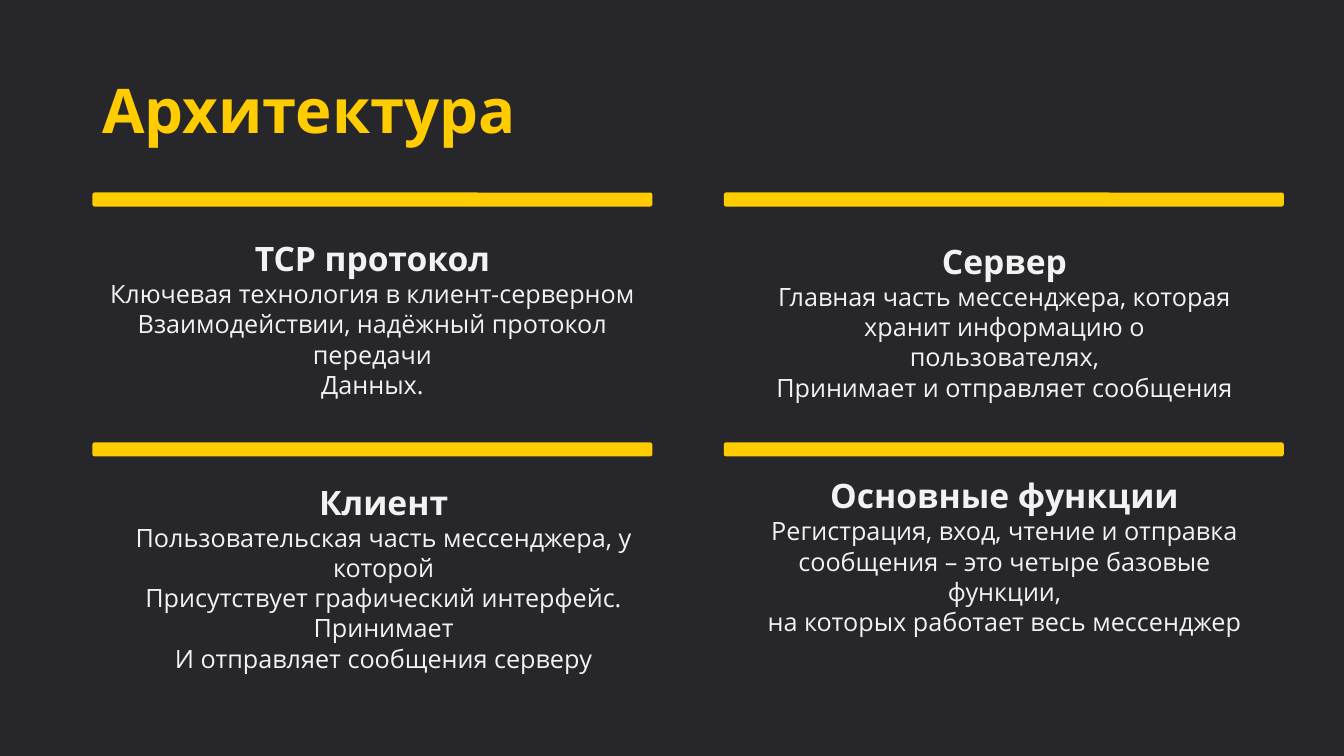
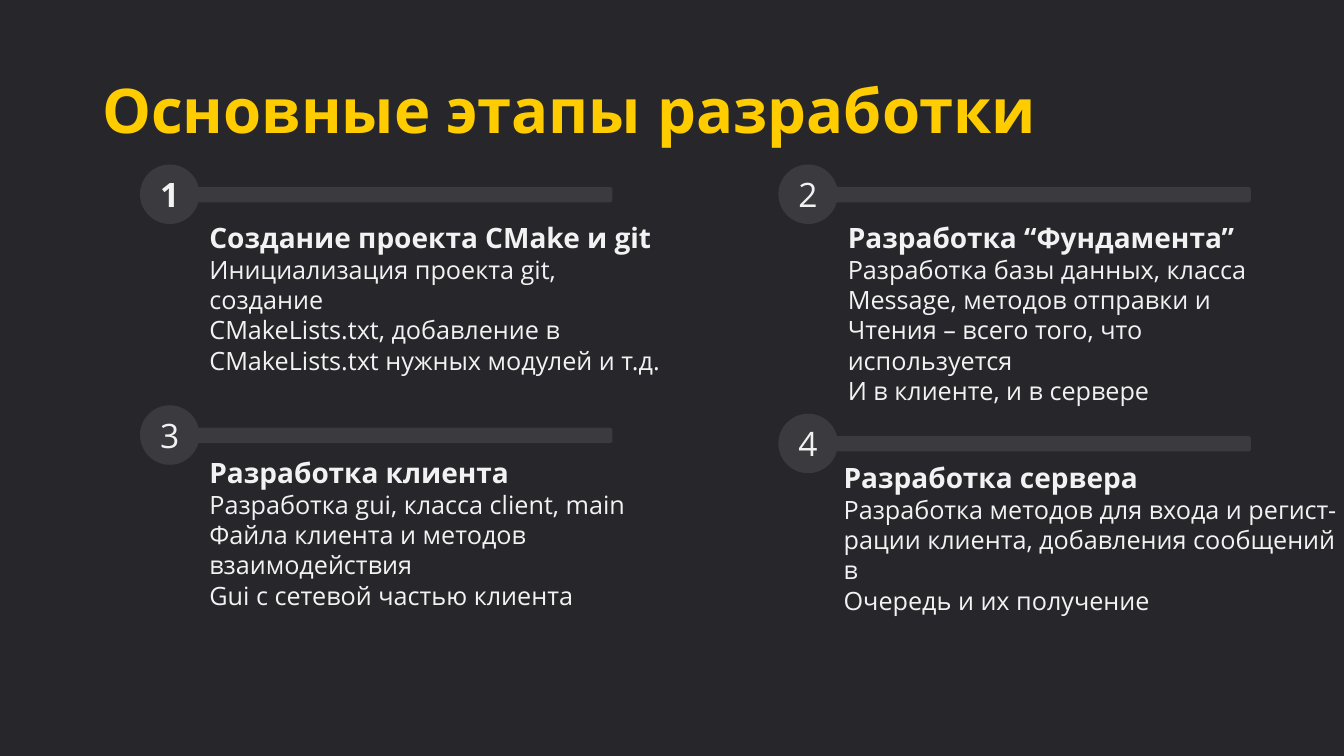
"""Builds two dark slides on the architecture and the development stages of a messenger."""
from pptx import Presentation
from pptx.dml.color import RGBColor
from pptx.enum.shapes import MSO_SHAPE
from pptx.enum.text import MSO_ANCHOR, MSO_AUTO_SIZE, PP_ALIGN
from pptx.util import Pt

BACKGROUND = RGBColor(0x27, 0x27, 0x2B)
YELLOW = RGBColor(0xFF, 0xCC, 0x00)
GREY = RGBColor(0x3B, 0x3B, 0x3F)
WHITE = RGBColor(0xF2, 0xF2, 0xF2)
FONT = "Open Sans"

LEFT, CENTER = PP_ALIGN.LEFT, PP_ALIGN.CENTER
MIDDLE = MSO_ANCHOR.MIDDLE
GROW = MSO_AUTO_SIZE.SHAPE_TO_FIT_TEXT
ROUNDED, CIRCLE = MSO_SHAPE.ROUNDED_RECTANGLE, MSO_SHAPE.OVAL

BLANK_LAYOUT = 6
BAR_LEFTS = (66, 517)
BAR_TOPS = (137.5, 316)
BAR_SIZE = (400, 10)
STEP_CIRCLE = 42.5
STEP_BAR_OFFSET = (34.5, 16)
STEP_BAR_SIZE = (303, 11)

TOPICS = [
    ((56, 166.5, 420, 101.5), "TCP протокол", [
        "Ключевая технология в клиент-серверном",
        "Взаимодействии, надёжный протокол передачи",
        "Данных."]),
    ((544.5, 168.5, 346, 101.5), "Сервер", [
        "Главная часть мессенджера, которая",
        "хранит информацию о пользователях,",
        "Принимает и отправляет сообщения"]),
    ((52, 340.5, 444, 101.5), "Клиент", [
        "Пользовательская часть мессенджера, у которой",
        "Присутствует графический интерфейс. Принимает",
        "И отправляет сообщения серверу"]),
    ((525.5, 336, 384, 101.5), "Основные функции", [
        "Регистрация, вход, чтение и отправка",
        "сообщения – это четыре базовые функции,",
        "на которых работает весь мессенджер"]),
]

STEPS = [
    ((100, 117.5), (142.5, 154, 340, 97), "Создание проекта CMake и git", [
        "Инициализация проекта git, создание",
        "CMakeLists.txt, добавление в",
        "CMakeLists.txt нужных модулей и т.д."]),
    ((556, 117.5), (598.5, 154, 340, 119), "Разработка “Фундамента”", [
        "Разработка базы данных, класса",
        "Message, методов отправки и",
        "Чтения – всего того, что используется",
        "И в клиенте, и в сервере"]),
    ((100, 289.5), (142.5, 322, 376, 97), "Разработка клиента", [
        "Разработка gui, класса client, main",
        "Файла клиента и методов взаимодействия",
        "Gui с сетевой частью клиента"]),
    ((556, 295.5), (595.5, 325.5, 369.5, 97), "Разработка сервера", [
        "Разработка методов для входа и регист-",
        "рации клиента, добавления сообщений в",
        "Очередь и их получение"]),
]


def add_span(para, text, size, color=WHITE, bold=False):
    span = para.add_run()
    span.text = text
    span.font.name = FONT
    span.font.size = Pt(size)
    span.font.bold = bold
    span.font.color.rgb = color


def add_text_box(page, area):
    box = page.shapes.add_textbox(*map(Pt, area))
    box.text_frame.word_wrap = True
    return box.text_frame


def add_page(deck, title):
    page = deck.slides.add_slide(deck.slide_layouts[BLANK_LAYOUT])
    frame = add_text_box(page, (66, 29, 828, 104))
    frame.vertical_anchor = MIDDLE
    para = frame.paragraphs[0]
    para.line_spacing = 0.9
    add_span(para, title, 44, YELLOW, True)
    return page


def add_shape(shapes, kind, area, color):
    shape = shapes.add_shape(kind, *map(Pt, area))
    shape.shadow.inherit = False
    shape.fill.solid()
    shape.fill.fore_color.rgb = color
    shape.line.fill.background()
    return shape


def add_section(page, area, heading, lines, heading_size, align):
    frame = add_text_box(page, area)
    frame.auto_size = GROW
    para = frame.paragraphs[0]
    para.alignment = align
    add_span(para, heading, heading_size, bold=True)
    for line in lines:
        para = frame.add_paragraph()
        para.alignment = align
        add_span(para, line, 18)


def add_step_marker(page, number, left, top):
    group = page.shapes.add_group_shape()
    offset_x, offset_y = STEP_BAR_OFFSET
    add_shape(group.shapes, ROUNDED, (left + offset_x, top + offset_y, *STEP_BAR_SIZE), GREY)
    circle = add_shape(group.shapes, CIRCLE, (left, top, STEP_CIRCLE, STEP_CIRCLE), GREY)
    frame = circle.text_frame
    frame.word_wrap = False
    frame.vertical_anchor = MIDDLE
    para = frame.paragraphs[0]
    para.alignment = CENTER
    add_span(para, str(number), 24, bold=number == 1)


def build_architecture(deck):
    page = add_page(deck, "Архитектура")
    for top in BAR_TOPS:
        for left in BAR_LEFTS:
            add_shape(page.shapes, ROUNDED, (left, top, *BAR_SIZE), YELLOW)
    for area, heading, lines in TOPICS:
        add_section(page, area, heading, lines, 24, CENTER)


def build_stages(deck):
    page = add_page(deck, "Основные этапы разработки")
    for number, (corner, area, heading, lines) in enumerate(STEPS, 1):
        add_step_marker(page, number, *corner)
        add_section(page, area, heading, lines, 20, LEFT)


def main():
    deck = Presentation()
    deck.slide_width, deck.slide_height = Pt(960), Pt(540)
    fill = deck.slide_master.background.fill
    fill.solid()
    fill.fore_color.rgb = BACKGROUND
    build_architecture(deck)
    build_stages(deck)
    deck.save("out.pptx")


if __name__ == "__main__":
    main()
